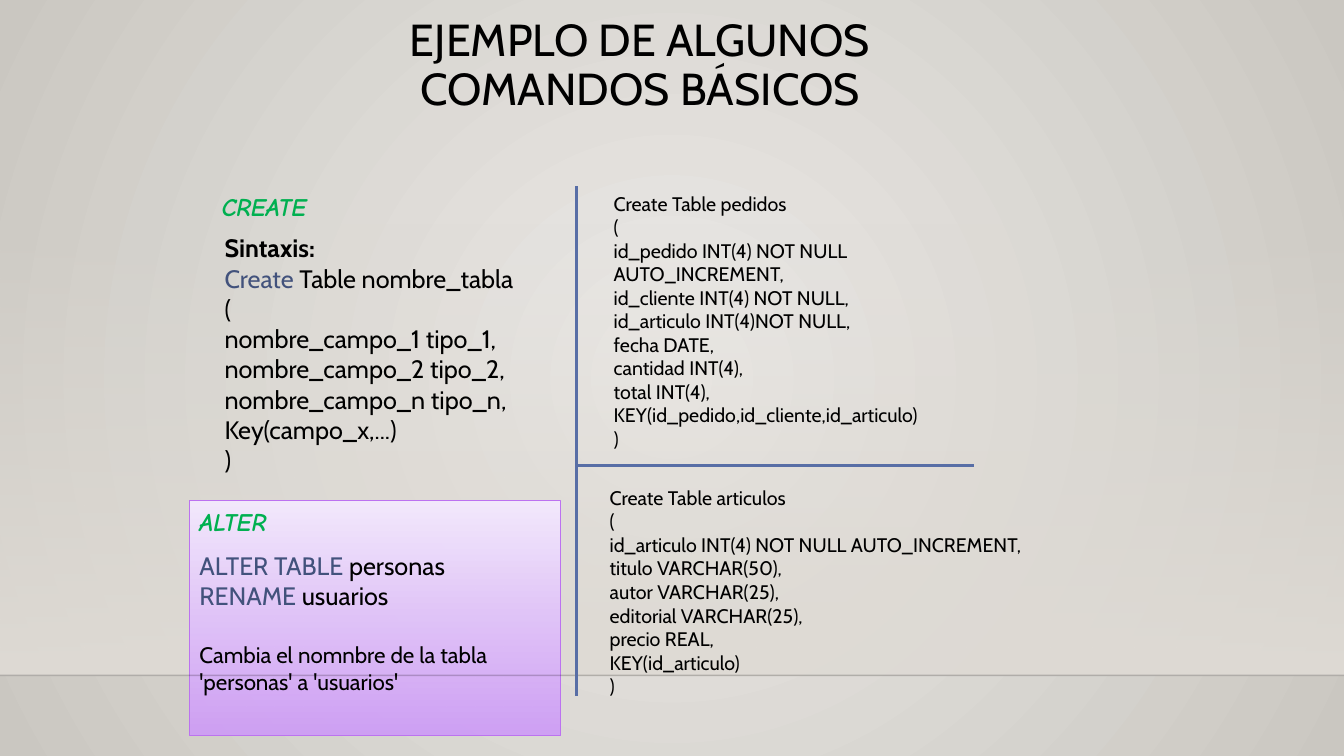
"""Build a slide with examples of basic SQL commands."""
from dataclasses import dataclass

from lxml import etree
from pptx import Presentation
from pptx import util as u
from pptx.dml.color import RGBColor
from pptx.enum import shapes, text
from pptx.oxml.ns import qn

BLACK = RGBColor(0x00, 0x00, 0x00)
GREEN = RGBColor(0x00, 0xB0, 0x50)
KEYWORD_BLUE = RGBColor(0x42, 0x52, 0x7C)
DIVIDER_BLUE = RGBColor(0x58, 0x6E, 0xA6)
HORIZON = RGBColor(0x00, 0x00, 0x01)
WALL_LIGHT = RGBColor(0xEC, 0xEA, 0xE7)
WALL_DARK = RGBColor(0xCA, 0xC7, 0xC1)
FLOOR = RGBColor(0xDF, 0xDB, 0xD5)
LILAC_LIGHT = RGBColor(0xF4, 0xEA, 0xFD)
LILAC_DARK = RGBColor(0xCE, 0x9C, 0xF7)
LILAC_BORDER = RGBColor(0xBC, 0x72, 0xF0)
BODY_FONT = "Cabin"
HEADING_FONT = "Comic Neue"


@dataclass(frozen=True)
class Span:
    text: str
    size: float = 18
    color: RGBColor = BLACK
    bold: bool = False
    italic: bool = False
    font: str = BODY_FONT


@dataclass(frozen=True)
class Line:
    spans: tuple[Span, ...]
    space_before: float = 0


@dataclass(frozen=True)
class TextBlock:
    left: float
    top: float
    width: float
    height: float
    lines: tuple[Line, ...]
    wrap: bool = True


@dataclass(frozen=True)
class Panel:
    left: float
    top: float
    width: float
    height: float
    colors: tuple[RGBColor, RGBColor]
    opacities: tuple[int, int]
    border: RGBColor | None = None


@dataclass(frozen=True)
class Rule:
    start: tuple[float, float]
    end: tuple[float, float]
    color: RGBColor
    width: float
    opacity: int = 100


def code(source: str, size: float) -> tuple[Line, ...]:
    return tuple(Line((Span(row, size),)) for row in source.strip().splitlines())


def heading(label: str) -> tuple[Line, ...]:
    return (Line((Span(label, 18, GREEN, True, True, HEADING_FONT),)),)


PANELS = (
    Panel(0, 159.12, 960, 323.28, (FLOOR, FLOOR), (0, 100)),
    Panel(135.36, 357.84, 264.96, 167.76, (LILAC_LIGHT, LILAC_DARK), (100, 92), LILAC_BORDER),
)

RULES = (
    Rule((0, 482.4), (960, 482.4), HORIZON, 1, 20),
    Rule((411.84, 133.2), (411.84, 496.8), DIVIDER_BLUE, 1.75),
    Rule((411.84, 332.64), (695.52, 332.64), DIVIDER_BLUE, 1.75),
)

SYNTAX = """
(
nombre_campo_1 tipo_1,
nombre_campo_2 tipo_2,
nombre_campo_n tipo_n,
Key(campo_x,...)
)
"""

ORDERS = """
Create Table pedidos
(
id_pedido INT(4) NOT NULL AUTO_INCREMENT,
id_cliente INT(4) NOT NULL,
id_articulo INT(4)NOT NULL,
fecha DATE,
cantidad INT(4),
total INT(4), KEY(id_pedido,id_cliente,id_articulo)
)
"""

ARTICLES = """
Create Table articulos
(
id_articulo INT(4) NOT NULL AUTO_INCREMENT,
titulo VARCHAR(50),
autor VARCHAR(25),
editorial VARCHAR(25),
precio REAL,
KEY(id_articulo)
)
"""

CREATE_LINES = (
    Line((Span("Sintaxis:", bold=True),)),
    Line((Span("Create ", color=KEYWORD_BLUE), Span("Table nombre_tabla"))),
) + code(SYNTAX, 18)

ALTER_LINES = (
    Line((Span("ALTER TABLE ", color=KEYWORD_BLUE), Span("personas "))),
    Line((Span("RENAME", color=KEYWORD_BLUE), Span(" usuarios"))),
    Line((Span("Cambia el nomnbre de la tabla 'personas' a 'usuarios'", 16),), 22),
)

TEXT_BLOCKS = (
    TextBlock(151.2, 133.2, 226.8, 28.8, heading("CREATE")),
    TextBlock(153.36, 162.72, 277.92, 181.44, CREATE_LINES),
    TextBlock(431.28, 133.2, 297.36, 193.68, code(ORDERS, 14)),
    TextBlock(428.4, 343.44, 360, 159.84, code(ARTICLES, 14)),
    TextBlock(135.36, 389.52, 257.76, 111.6, ALTER_LINES),
    TextBlock(135.36, 357.84, 81.36, 28.8, heading("ALTER"), wrap=False),
)


def set_gradient(fill, colors: tuple[RGBColor, RGBColor]) -> None:
    fill.gradient()
    for stop, color in zip(fill.gradient_stops, colors):
        stop.color.rgb = color


def set_opacity(color_element, percent: int) -> None:
    if percent < 100:
        etree.SubElement(color_element, qn("a:alpha"), val=str(percent * 1000))


def paint_background(slide) -> None:
    set_gradient(slide.background.fill, (WALL_LIGHT, WALL_DARK))
    linear = next(slide.element.iter(qn("a:lin")))
    radial = etree.Element(qn("a:path"), path="circle")
    etree.SubElement(radial, qn("a:fillToRect"), l="50000", t="50000", r="50000", b="50000")
    linear.getparent().replace(linear, radial)


def add_panel(slide, panel: Panel) -> None:
    shape = slide.shapes.add_shape(
        shapes.MSO_SHAPE.RECTANGLE,
        u.Pt(panel.left), u.Pt(panel.top), u.Pt(panel.width), u.Pt(panel.height))
    shape.shadow.inherit = False
    set_gradient(shape.fill, panel.colors)
    shape.fill.gradient_angle = 270
    for color_element, opacity in zip(shape.element.iter(qn("a:srgbClr")), panel.opacities):
        set_opacity(color_element, opacity)
    if panel.border is None:
        shape.line.fill.background()
    else:
        shape.line.color.rgb = panel.border
        shape.line.width = u.Pt(0.75)


def add_rule(slide, rule: Rule) -> None:
    connector = slide.shapes.add_connector(
        shapes.MSO_CONNECTOR.STRAIGHT, *(u.Pt(value) for value in rule.start + rule.end))
    connector.line.color.rgb = rule.color
    connector.line.width = u.Pt(rule.width)
    set_opacity(next(connector.element.iter(qn("a:srgbClr"))), rule.opacity)
    etree.SubElement(connector.element.spPr, qn("a:effectLst"))


def format_run(run, span: Span) -> None:
    run.font.name = span.font
    run.font.size = u.Pt(span.size)
    run.font.bold = span.bold
    run.font.italic = span.italic
    run.font.color.rgb = span.color


def add_text_block(slide, block: TextBlock) -> None:
    shape = slide.shapes.add_textbox(
        u.Pt(block.left), u.Pt(block.top), u.Pt(block.width), u.Pt(block.height))
    frame = shape.text_frame
    frame.word_wrap = block.wrap
    for index, line in enumerate(block.lines):
        paragraph = frame.add_paragraph() if index else frame.paragraphs[0]
        paragraph.space_before = u.Pt(line.space_before)
        for span in line.spans:
            run = paragraph.add_run()
            run.text = span.text
            format_run(run, span)


def place_title(slide) -> None:
    title = slide.shapes.title
    title.left, title.top, title.width, title.height = map(u.Pt, (230.4, 9.36, 453.6, 90))
    frame = title.text_frame
    frame.text = "EJEMPLO DE ALGUNOS COMANDOS BÁSICOS"
    frame.word_wrap = True
    frame.auto_size = text.MSO_AUTO_SIZE.NONE
    frame.vertical_anchor = text.MSO_ANCHOR.TOP
    paragraph = frame.paragraphs[0]
    paragraph.alignment = text.PP_ALIGN.CENTER
    paragraph.line_spacing = 0.9
    format_run(paragraph.runs[0], Span(frame.text, 32))


def main() -> None:
    presentation = Presentation()
    presentation.slide_width, presentation.slide_height = u.Pt(960), u.Pt(540)
    slide = presentation.slides.add_slide(presentation.slide_layouts.get_by_name("Title Only"))
    paint_background(slide)
    place_title(slide)
    for panel in PANELS:
        add_panel(slide, panel)
    for rule in RULES:
        add_rule(slide, rule)
    for block in TEXT_BLOCKS:
        add_text_block(slide, block)
    presentation.save("out.pptx")


if __name__ == "__main__":
    main()
